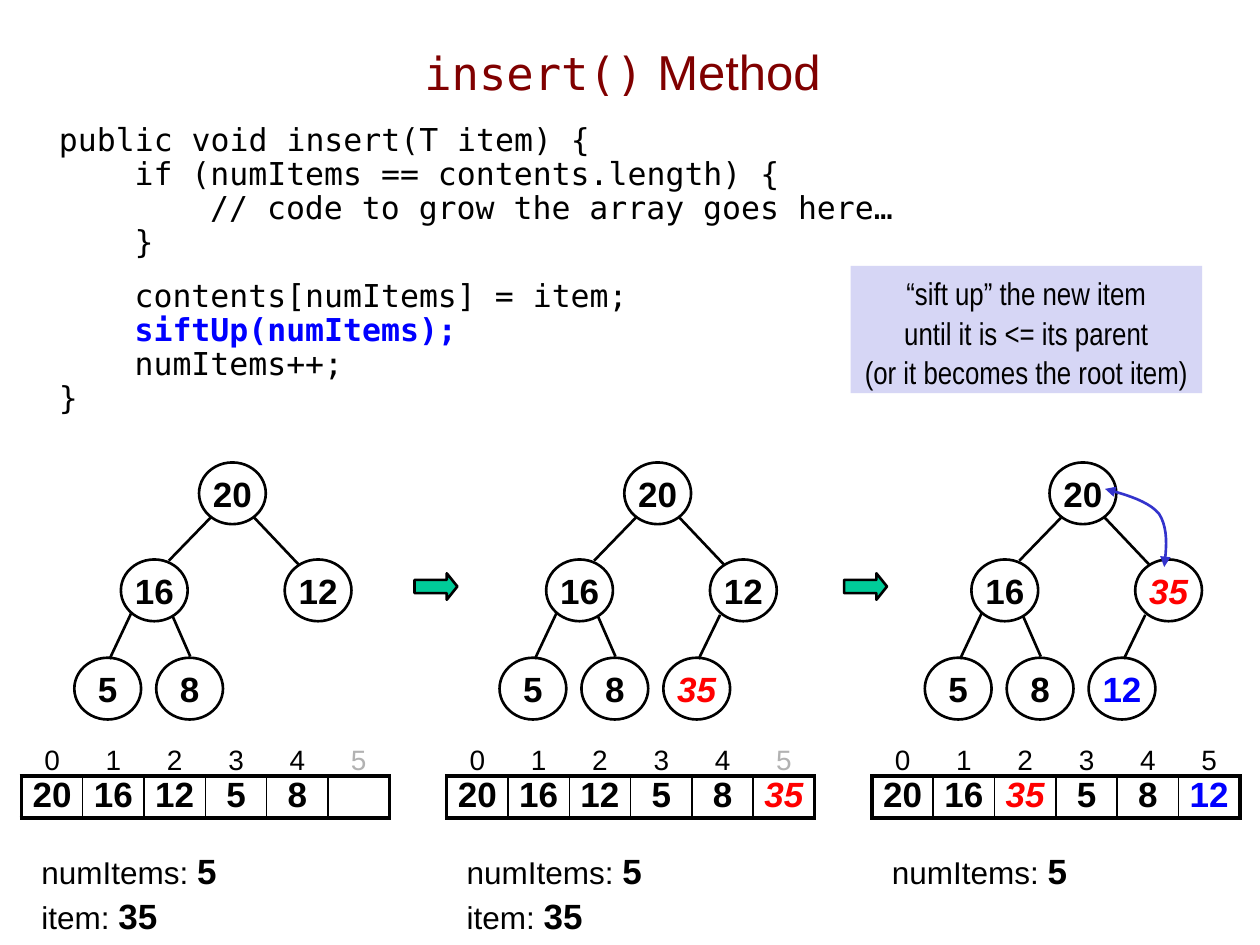
from lxml import etree
from pptx import Presentation, util as u
from pptx.dml.color import RGBColor
from pptx.enum import shapes, text
from pptx.oxml import ns

COLUMNS, ROWS = 100, 75
COLORS = {
    "black": "000000", "title": "800000", "blue": "0000FF", "red": "FF0000",
    "faded": "B2B2B2", "arrow": "00CC99", "swap": "3333CC", "callout": "D6D6F5",
}
SANS, NARROW, MONO = "Arial", "Arial Narrow", "DejaVu Sans Mono"
NO_TABLE_STYLE = "{2D5ABB26-0587-4C30-8999-92F81FD0307C}"
THICK, THIN = 2.25, 1
CENTER, LEFT = text.PP_ALIGN.CENTER, text.PP_ALIGN.LEFT

PANEL_STEP = 33.75
NODE_SIZE = (5.3, 4.9)
# Tree positions in level order; EDGES[i] joins node i + 1 to its parent.
NODES = [(15.8, 36.7), (9.6, 44.4), (22.6, 44.4), (5.9, 52.2), (12.4, 52.2), (18.9, 52.2)]
EDGES = [
    ((16.7, 41.1), (13.4, 44.5)), ((20.1, 41), (23.7, 44.8)),
    ((10.4, 48.7), (8.7, 52.3)), ((13.7, 48.9), (15.1, 52.1)),
    ((23.4, 48.8), (21.7, 52.3)),
]
PLAIN = {"bold": True}
NEW = {"bold": True, "italic": True, "color": "red"}
MOVED = {"bold": True, "color": "blue"}
# Heap items, styles of highlighted items, whether index 5 is in use, whether item shows.
PANELS = [
    ([20, 16, 12, 5, 8], {}, False, True),
    ([20, 16, 12, 5, 8, 35], {5: NEW}, False, True),
    ([20, 16, 35, 5, 8, 12], {2: NEW, 5: MOVED}, True, False),
]
# Indent level, text, space before in points
CODE = [
    (0, "public void insert(T item) {", 0),
    (1, "if (numItems == contents.length) {", 0),
    (2, "// code to grow the array goes here…", 0),
    (1, "}", 0),
    (1, "contents[numItems] = item;", 11),
    (1, "siftUp(numItems);", 0),
    (1, "numItems++;", 0),
    (0, "}", 0),
]


class SlideBuilder:
    """Places elements on a grid of COLUMNS by ROWS cells."""

    def __init__(self, presentation):
        self.column = presentation.slide_width / COLUMNS
        self.row = presentation.slide_height / ROWS
        self.slide = presentation.slides.add_slide(presentation.slide_layouts[6])

    def grid(self, *lengths):
        """Turn alternating columns and rows into slide lengths."""
        return [round(n * (self.row if i % 2 else self.column)) for i, n in enumerate(lengths)]

    def add_run(self, paragraph, words, size=20, font=SANS, color="black", bold=False, italic=False):
        run = paragraph.add_run()
        run.text = words
        run.font.size, run.font.name = u.Pt(size), font
        run.font.bold, run.font.italic = bold, italic
        run.font.color.rgb = RGBColor.from_string(COLORS[color])

    def fill_frame(self, frame, lines, align=LEFT, spacing=None):
        """Write lines, each a list of (words, style) runs."""
        for number, runs in enumerate(lines):
            paragraph = frame.add_paragraph() if number else frame.paragraphs[0]
            paragraph.alignment, paragraph.line_spacing = align, spacing
            for words, style in runs:
                self.add_run(paragraph, words, **style)

    def text_box(self, place, lines, align=LEFT, spacing=None, anchor=text.MSO_ANCHOR.TOP, fill=None):
        box = self.slide.shapes.add_textbox(*self.grid(*place))
        box.text_frame.word_wrap = True
        box.text_frame.vertical_anchor = anchor
        if fill:
            box.fill.solid()
            box.fill.fore_color.rgb = RGBColor.from_string(COLORS[fill])
        self.fill_frame(box.text_frame, lines, align, spacing)
        return box.text_frame

    def outline(self, shape, color="black"):
        shape.line.color.rgb = RGBColor.from_string(COLORS[color])
        shape.line.width = u.Pt(1.5)

    def node(self, left, top, words, style):
        shape = self.slide.shapes.add_shape(
            shapes.MSO_SHAPE.OVAL, *self.grid(left, top, *NODE_SIZE))
        shape.shadow.inherit = False
        shape.fill.background()
        self.outline(shape)
        frame = shape.text_frame
        frame.margin_left = frame.margin_right = frame.margin_top = frame.margin_bottom = 0
        frame.vertical_anchor = text.MSO_ANCHOR.MIDDLE
        self.fill_frame(frame, [[(words, style)]], CENTER)

    def edge(self, *ends):
        line = self.slide.shapes.add_connector(shapes.MSO_CONNECTOR.STRAIGHT, *self.grid(*ends))
        etree.SubElement(line.element.spPr, ns.qn("a:effectLst"))
        self.outline(line)

    def block_arrow(self, left, top):
        arrow = self.slide.shapes.add_shape(
            shapes.MSO_SHAPE.RIGHT_ARROW, *self.grid(left, top, 3.4, 2.1))
        arrow.adjustments[1] = 0.4
        arrow.shadow.inherit = False
        arrow.fill.solid()
        arrow.fill.fore_color.rgb = RGBColor.from_string(COLORS["arrow"])
        self.outline(arrow)

    def swap_curve(self, start, *curves, steps=10):
        """Draw joined cubic curves with an arrowhead at both ends."""
        points, last = [], start
        for bend in curves:
            controls = (last, *bend)
            for step in range(1, steps + 1):
                t = step / steps
                weights = ((1 - t) ** 3, 3 * t * (1 - t) ** 2, 3 * t * t * (1 - t), t ** 3)
                points.append(self.grid(*(
                    sum(w * p[axis] for w, p in zip(weights, controls)) for axis in (0, 1))))
            last = bend[-1]
        builder = self.slide.shapes.build_freeform(*self.grid(*start))
        builder.add_line_segments(points, close=False)
        curve = builder.convert_to_shape()
        curve.shadow.inherit = False
        curve.fill.background()
        self.outline(curve, "swap")
        for end in ("a:headEnd", "a:tailEnd"):
            etree.SubElement(curve.line._get_or_add_ln(), ns.qn(end), type="triangle")

    def border(self, cell, **widths):
        properties = cell._tc.get_or_add_tcPr()
        for position, (side, width) in enumerate(widths.items()):
            line = etree.Element(ns.qn("a:ln" + side), w=str(u.Pt(width)))
            fill = etree.SubElement(line, ns.qn("a:solidFill"))
            etree.SubElement(fill, ns.qn("a:srgbClr"), val=COLORS["black"])
            properties.insert(position, line)

    def array_table(self, left, top, items, styles, full):
        count = len(NODES)
        table = self.slide.shapes.add_table(2, count, *self.grid(left, top, 29.2, 6.5)).table
        table.first_row = table.horz_banding = False
        table._tbl.tblPr.find(ns.qn("a:tableStyleId")).text = NO_TABLE_STYLE
        table.rows[0].height, table.rows[1].height = self.grid(0, 3.2, 0, 3.3)[1::2]
        for index in range(count):
            header, cell = table.cell(0, index), table.cell(1, index)
            for part in (header, cell):
                part.fill.background()
                part.margin_top = part.margin_bottom = 0
            header.margin_top = u.Inches(0.05)
            header.vertical_anchor = text.MSO_ANCHOR.BOTTOM
            cell.margin_left = cell.margin_right = 0
            color = "black" if full or index < count - 1 else "faded"
            self.fill_frame(header.text_frame, [[(str(index), {"size": 16, "color": color})]], CENTER)
            if index < len(items):
                runs = [(str(items[index]), styles.get(index, PLAIN))]
                self.fill_frame(cell.text_frame, [runs], CENTER)
            self.border(header, B=THICK)
            self.border(cell, L=THIN if index else THICK,
                        R=THIN if index < count - 1 else THICK, T=THICK, B=THICK)

    def code(self, place):
        lines = [[(words, {"size": 18, "font": MONO, "bold": words.startswith("siftUp"),
                           "color": "blue" if words.startswith("siftUp") else "black"})]
                 for _, words, _ in CODE]
        frame = self.text_box(place, lines, spacing=0.9)
        for paragraph, (level, _, gap) in zip(frame.paragraphs, CODE):
            paragraph.space_before = u.Pt(gap)
            properties = paragraph._p.get_or_add_pPr()
            properties.set("marL", str(u.Inches(0.6 * level)))

    def panel(self, offset, items, styles, full, show_item):
        for index, (item, (left, top)) in enumerate(zip(items, NODES)):
            self.node(offset + left, top, str(item), styles.get(index, PLAIN))
        for (x1, y1), (x2, y2) in EDGES[:len(items) - 1]:
            self.edge(offset + x1, y1, offset + x2, y2)
        self.array_table(offset + 1.7, 58.4, items, styles, full)
        facts = [("numItems: ", "5")] + [("item: ", "35")] * show_item
        lines = [[(label, {"size": 18}), (value, PLAIN)] for label, value in facts]
        self.text_box((offset + 2.3, 66.8, 20, 7.7), lines, spacing=1.05)


def main():
    presentation = Presentation()
    presentation.slide_width, presentation.slide_height = u.Inches(10), u.Inches(7.5)
    builder = SlideBuilder(presentation)
    title = [("insert()", {"size": 26, "font": MONO, "color": "title"}),
             (" Method", {"size": 28, "color": "title"})]
    builder.text_box((6.4, 1, 86, 9.3), [title], CENTER, anchor=text.MSO_ANCHOR.MIDDLE)
    builder.code((3.7, 9.4, 96.3, 24))
    callout = ["“sift up” the new item", "until it is <= its parent", "(or it becomes the root item)"]
    builder.text_box((67.5, 21.1, 27.9, 10.1),
                     [[(line, {"size": 18, "font": NARROW})] for line in callout],
                     CENTER, spacing=1.05, fill="callout")
    for number, panel in enumerate(PANELS):
        builder.panel(number * PANEL_STEP, *panel)
    for left in (32.9, 67):
        builder.block_arrow(left, 45.5)
    builder.swap_curve((87.7, 38.8), ((89.5, 39.3), (91.2, 39.8), (92, 40.8)),
                       ((92.7, 41.9), (92.6, 43.4), (92.4, 45)))
    presentation.save("out.pptx")


if __name__ == "__main__":
    main()
